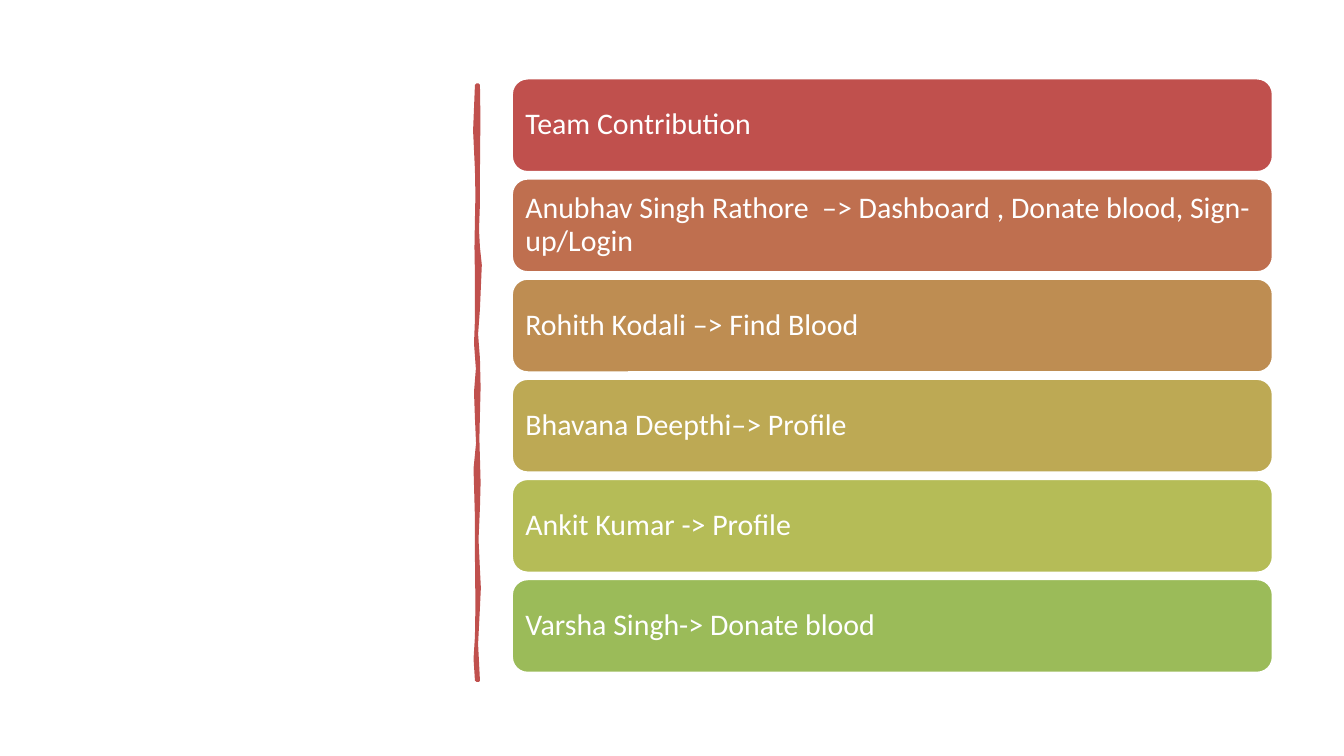
"""Build a team contribution slide with a hand-drawn divider and coloured bars."""
import pptx
import pptx.dml.color
import pptx.enum.shapes
import pptx.enum.text
import pptx.util

Pt = pptx.util.Pt
RGBColor = pptx.dml.color.RGBColor

WHITE = RGBColor(0xFF, 0xFF, 0xFF)
RED = RGBColor(0xC0, 0x50, 0x4D)
RUST = RGBColor(0xBF, 0x6F, 0x4F)
OCHRE = RGBColor(0xBE, 0x8D, 0x52)
MUSTARD = RGBColor(0xBD, 0xA9, 0x54)
LIME = RGBColor(0xB5, 0xBC, 0x57)
GREEN = RGBColor(0x9B, 0xBB, 0x59)

BAR_LEFT, BAR_TOP, BAR_WIDTH, BAR_HEIGHT, BAR_PITCH = 548.6, 84.2, 815, 100, 107.3
TEXT_INSET = 4.9
HEADING = "Team Contribution"
CONTRIBUTIONS = [
    ("Anubhav Singh Rathore  –> Dashboard , Donate blood, Sign-up/Login", RUST),
    ("Rohith Kodali –> Find Blood", OCHRE),
    ("Bhavana Deepthi–> Profile", MUSTARD),
    ("Ankit Kumar -> Profile", LIME),
    ("Varsha Singh-> Donate blood", GREEN),
]

DIVIDER_RIGHT, DIVIDER_LEFT = 512.6, 510.5
RIGHT_WOBBLE = [
    (91, 0), (125, 0.5), (184, 0), (218, 0), (246, -1), (265, 0), (284, 2),
    (331, 0), (358, -2), (384, 0), (415, 0.7), (444, 0), (470, -0.6), (491, 0),
    (517, 0.7), (544, 0), (578, -1.5), (610, 0), (630, 1), (651, 0), (690, -2), (729, 0),
]
LEFT_WOBBLE = [
    (729, 0), (706, -1.5), (682, 0), (649, 0.5), (595, 0), (555, 0), (530, -0.7),
    (502, -1.5), (475, 1.2), (448, 0), (420, -1), (395, 1), (368, -1), (342, 0),
    (295, 0), (265, -0.5), (235, 0), (209, 0.5), (182, 0), (140, -2), (91, 0),
]


class SlideStyle:
    """Hold the shared formatting and the current slide."""

    frame_format = {
        "word_wrap": True,
        "auto_size": pptx.enum.text.MSO_AUTO_SIZE.NONE,
        "vertical_anchor": pptx.enum.text.MSO_ANCHOR.MIDDLE,
        "margin_left": Pt(9.4),
        "margin_right": Pt(9.4),
        "margin_top": Pt(9.4),
        "margin_bottom": Pt(9.4),
    }
    paragraph_format = {"alignment": pptx.enum.text.PP_ALIGN.LEFT, "line_spacing": 0.9}
    font_format = {"name": "Calibri", "size": Pt(32), "bold": False}

    def __init__(self, slide):
        self.slide = slide

    def apply(self, target, values):
        for attribute, value in values.items():
            setattr(target, attribute, value)

    def paint(self, shape, fill, outline, width):
        shape.shadow.inherit = False
        shape.fill.solid()
        shape.fill.fore_color.rgb = fill
        shape.line.color.rgb = outline
        shape.line.width = Pt(width)

    def label(self, shape, text):
        frame = shape.text_frame
        frame.text = text
        paragraph = frame.paragraphs[0]
        font = paragraph.runs[0].font
        self.apply(frame, self.frame_format)
        self.apply(paragraph, self.paragraph_format)
        self.apply(font, self.font_format)
        font.color.rgb = WHITE

    def bar(self, row, colour):
        bar = self.slide.shapes.add_shape(
            pptx.enum.shapes.MSO_SHAPE.ROUNDED_RECTANGLE,
            Pt(BAR_LEFT), Pt(BAR_TOP + row * BAR_PITCH), Pt(BAR_WIDTH), Pt(BAR_HEIGHT),
        )
        self.paint(bar, colour, WHITE, 2)
        return bar

    def heading(self, text, bar):
        heading = self.slide.shapes.title
        inset = Pt(TEXT_INSET)
        self.apply(heading, {
            "left": bar.left + inset,
            "top": bar.top + inset,
            "width": bar.width - 2 * inset,
            "height": bar.height - 2 * inset,
        })
        self.label(heading, text)
        bar.element.addnext(heading.element)

    def divider(self):
        edge = [(Pt(DIVIDER_RIGHT + shift), Pt(y)) for y, shift in RIGHT_WOBBLE]
        edge += [(Pt(DIVIDER_LEFT + shift), Pt(y)) for y, shift in LEFT_WOBBLE]
        outline = self.slide.shapes.build_freeform(*edge[0])
        outline.add_line_segments(edge[1:], close=True)
        self.paint(outline.convert_to_shape(), RED, RED, 3.25)


def main():
    deck = pptx.Presentation()
    deck.slide_width, deck.slide_height = Pt(1440), Pt(810)
    style = SlideStyle(deck.slides.add_slide(deck.slide_layouts[5]))
    style.divider()
    style.heading(HEADING, style.bar(0, RED))
    for row, (contribution, colour) in enumerate(CONTRIBUTIONS, start=1):
        style.label(style.bar(row, colour), contribution)
    deck.save("out.pptx")


if __name__ == "__main__":
    main()
